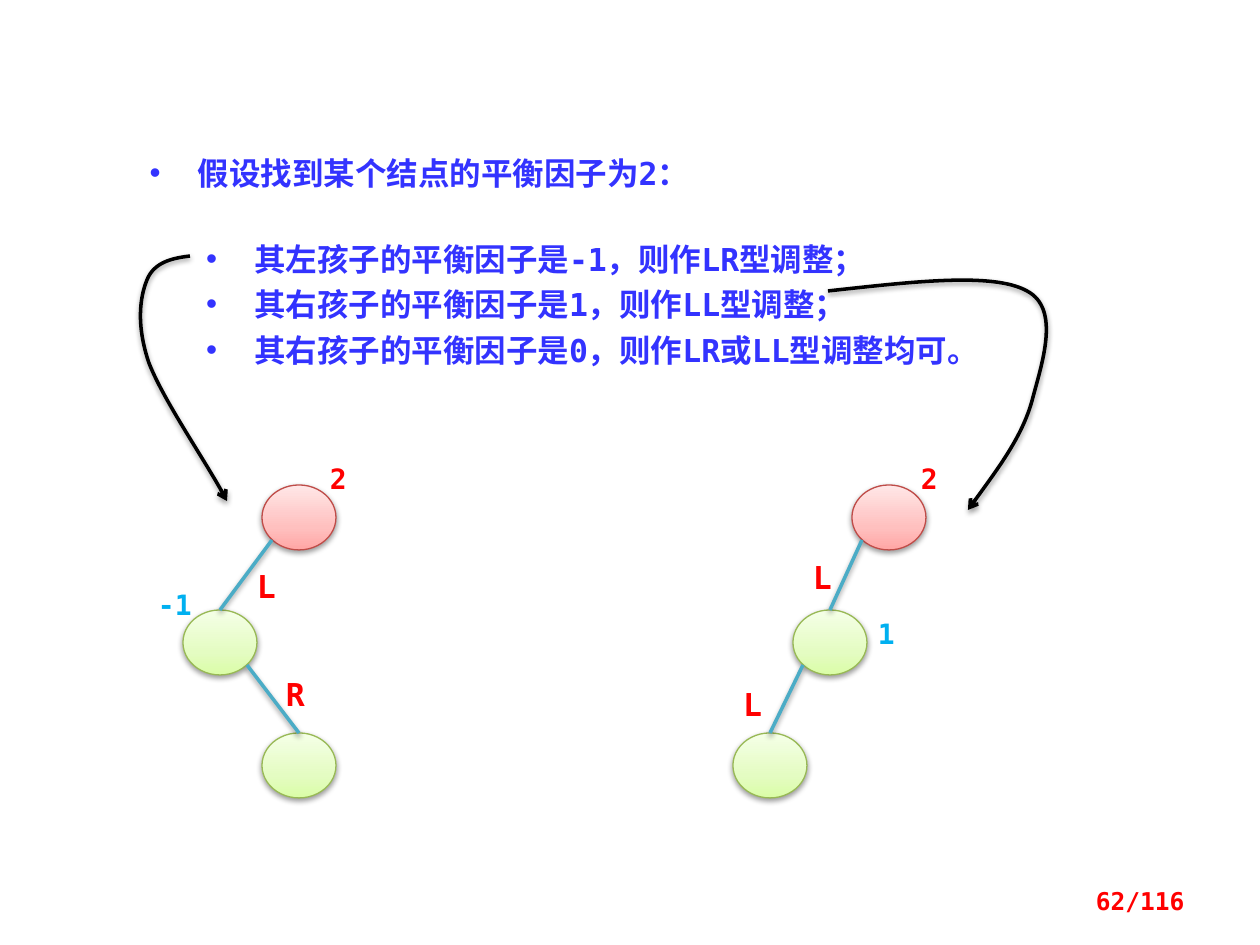
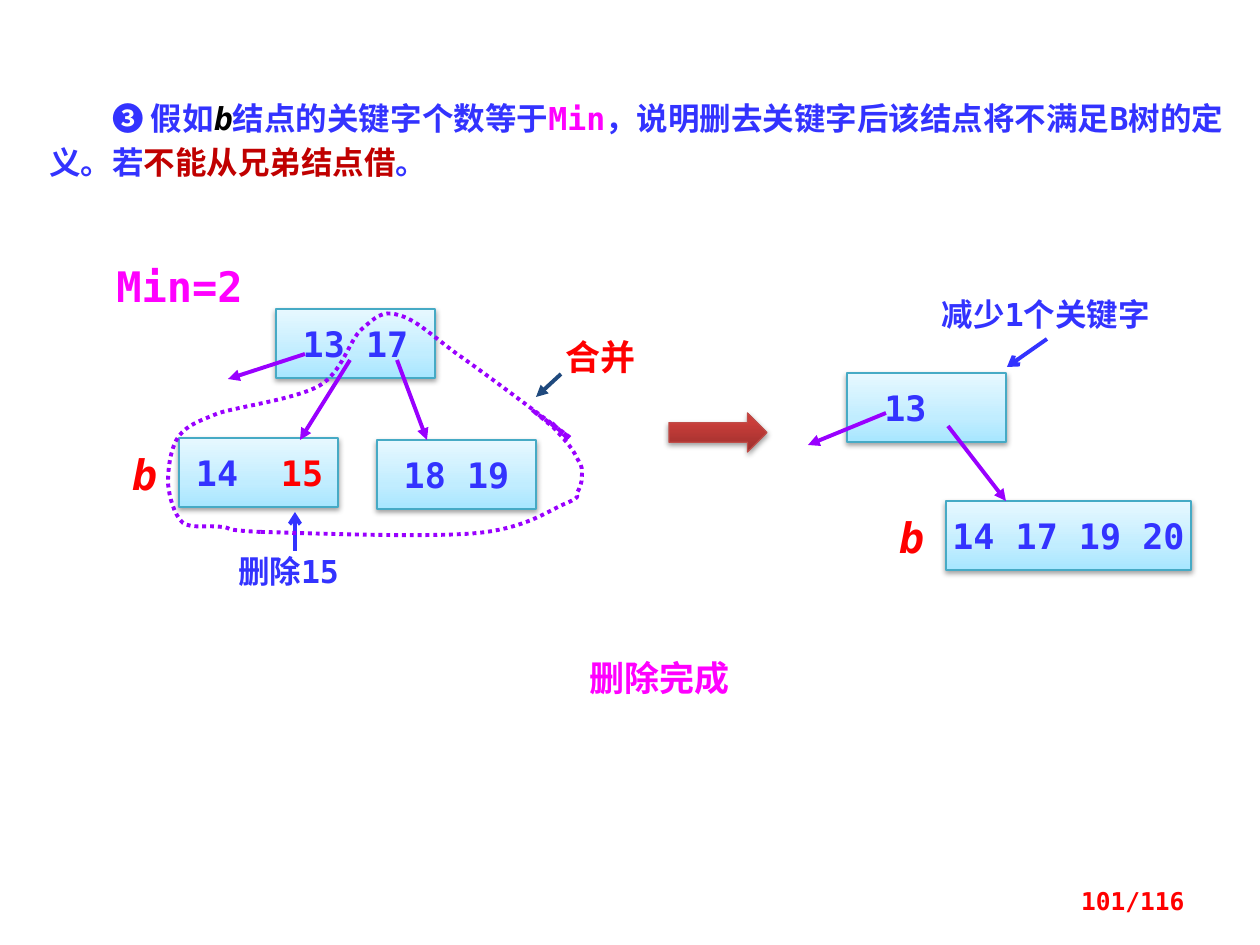
"""Build two slides on AVL rotations and on merging B-tree nodes."""
from copy import deepcopy
from itertools import pairwise

from lxml import etree
from pptx import Presentation
from pptx.dml.color import RGBColor
from pptx.enum.dml import MSO_LINE
from pptx.enum.shapes import MSO_CONNECTOR, MSO_SHAPE
from pptx.enum.text import MSO_ANCHOR, MSO_AUTO_SIZE, PP_ALIGN
from pptx.oxml.ns import qn
from pptx.util import Pt

SCALE = 914400 / 126
FONT = "DejaVu Sans Mono"
LEFT, CENTER, RIGHT, JUSTIFY = PP_ALIGN.LEFT, PP_ALIGN.CENTER, PP_ALIGN.RIGHT, PP_ALIGN.JUSTIFY
TOP, MIDDLE = MSO_ANCHOR.TOP, MSO_ANCHOR.MIDDLE
NO_AUTOFIT = MSO_AUTO_SIZE.NONE
STRAIGHT, DOTTED = MSO_CONNECTOR.STRAIGHT, MSO_LINE.ROUND_DOT
OVAL, RECTANGLE, RIGHT_ARROW = MSO_SHAPE.OVAL, MSO_SHAPE.RECTANGLE, MSO_SHAPE.RIGHT_ARROW

BLACK = RGBColor(0, 0, 0)
WHITE = RGBColor(0xFF, 0xFF, 0xFF)
BLUE = RGBColor(0x33, 0x33, 0xFF)
RED = RGBColor(0xFF, 0, 0)
DARK_RED = RGBColor(0xC0, 0, 0)
MAGENTA = RGBColor(0xFF, 0, 0xFF)
SKY = RGBColor(0, 0xB0, 0xF0)
TEAL = RGBColor(0x4B, 0xAC, 0xC6)
PURPLE = RGBColor(0x99, 0, 0xFF)
NAVY = RGBColor(0x1F, 0x49, 0x7D)

PINK_BLOCK = (RGBColor(0xBF, 0x4C, 0x48), [
    (0, RGBColor(0xFF, 0xA6, 0xA5)), (0.35, RGBColor(0xFF, 0xC0, 0xBF)), (1, RGBColor(0xFF, 0xE7, 0xE7))])
GREEN_BLOCK = (RGBColor(0x98, 0xB9, 0x55), [
    (0, RGBColor(0xDA, 0xFD, 0xA7)), (0.35, RGBColor(0xE4, 0xFC, 0xC2)), (1, RGBColor(0xF5, 0xFF, 0xE7))])
BLUE_BLOCK = (RGBColor(0x46, 0xAA, 0xC5), [
    (0, RGBColor(0xA7, 0xE6, 0xFF)), (0.35, RGBColor(0xC1, 0xED, 0xFF)), (1, RGBColor(0xE7, 0xF8, 0xFF))])
RED_BLOCK = (RGBColor(0xBF, 0x4C, 0x48), [
    (0, RGBColor(0x9C, 0x2F, 0x2D)), (0.8, RGBColor(0xCB, 0x3E, 0x3A)), (1, RGBColor(0xCE, 0x3B, 0x37))])


def px(*lengths):
    return [round(length * SCALE) for length in lengths]


def style_outline(shape, color, width, tail=None, shadow=False):
    shape.line.color.rgb = color
    shape.line.width = Pt(width)
    properties = shape._element.spPr
    if tail:
        etree.SubElement(properties.find(qn("a:ln")), qn("a:tailEnd"), type=tail)
    effects = etree.SubElement(properties, qn("a:effectLst"))
    if shadow:
        outer = etree.SubElement(effects, qn("a:outerShdw"), blurRad="40000", dist="20000",
                                 dir="5400000", rotWithShape="0")
        black = etree.SubElement(outer, qn("a:srgbClr"), val="000000")
        etree.SubElement(black, qn("a:alpha"), val="38000")


presentation = Presentation()
presentation.slide_width, presentation.slide_height = px(1260, 945)
rotation_slide = presentation.slides.add_slide(presentation.slide_layouts[1])
merge_slide = presentation.slides.add_slide(presentation.slide_layouts[5])
blocks = []
texts = []

heading = rotation_slide.shapes.title
cases = rotation_slide.placeholders[1]
explanation = merge_slide.shapes.title
for shape, box in [(heading, (137, 129, 1004, 63)), (cases, (186, 217, 827, 168)),
                   (explanation, (29, 78, 1207, 118))]:
    shape.left, shape.top, shape.width, shape.height = px(*box)
    frame = shape.text_frame
    frame.word_wrap = True
    frame.auto_size = NO_AUTOFIT
    frame.vertical_anchor = TOP
    if shape is not heading:
        shape.fill.solid()
        shape.fill.fore_color.rgb = WHITE
        frame.margin_left, frame.margin_top, frame.margin_right, frame.margin_bottom = px(20, 15, 13, 15)

heading.text_frame.text = "假设找到某个结点的平衡因子为2："
cases.text_frame.text = "\n".join([
    "其左孩子的平衡因子是-1，则作LR型调整；",
    "其右孩子的平衡因子是1，则作LL型调整；",
    "其右孩子的平衡因子是0，则作LR或LL型调整均可。"])
for shape, spacing in [(heading, 1.5), (cases, Pt(26))]:
    for paragraph in shape.text_frame.paragraphs:
        paragraph.alignment = LEFT
        paragraph.line_spacing = spacing
        paragraph.space_before = Pt(0)
        properties = paragraph._p.get_or_add_pPr()
        indent = px(48)[0]
        properties.set("marL", str(indent))
        properties.set("indent", str(-indent))
        etree.SubElement(properties, qn("a:buFont"), typeface="Arial")
        etree.SubElement(properties, qn("a:buChar"), char="•")
        texts.append((paragraph, 18, [BLUE]))

paragraph = explanation.text_frame.paragraphs[0]
paragraph.alignment = JUSTIFY
paragraph.line_spacing = Pt(25)
paragraph._p.get_or_add_pPr().set("indent", str(px(63)[0]))
phrases = [("❸ 假如", BLUE), ("b", BLACK), ("结点的关键字个数等于", BLUE), ("Min", MAGENTA),
           ("，说明删去关键字后该结点将不满足B树的定义。若", BLUE), ("不能从兄弟结点借", DARK_RED), ("。", BLUE)]
for phrase, color in phrases:
    paragraph.add_run().text = phrase
texts.append((paragraph, 18, [color for phrase, color in phrases]))

NODE_WIDTH, NODE_HEIGHT = 74, 65
for tree in [[(262, 485), (183, 610), (262, 733)], [(852, 485), (793, 610), (733, 733)]]:
    nodes = []
    for left, top in tree:
        node = rotation_slide.shapes.add_shape(OVAL, *px(left, top, NODE_WIDTH, NODE_HEIGHT))
        blocks.append((node, GREEN_BLOCK if nodes else PINK_BLOCK))
        nodes.append(node)
    for (parent, child), child_node in zip(pairwise(tree), nodes[1:]):
        corner = 10 if child[0] < parent[0] else NODE_WIDTH - 10
        edge = rotation_slide.shapes.add_connector(
            STRAIGHT, *px(parent[0] + corner, parent[1] + 55, child[0] + NODE_WIDTH // 2, child[1]))
        edge.end_connect(child_node, 0)
        style_outline(edge, TEAL, 2, shadow=True)

KEY_WIDTH, KEY_HEIGHT = 159, 69
for left, top, width, keys, colors, left_margin, right_margin in [
        (179, 438, KEY_WIDTH, "14\t15", [BLUE, BLUE, RED], 17, 0),
        (276, 309, KEY_WIDTH, "13 17", [BLUE], 0, 0),
        (377, 440, KEY_WIDTH, "18 19", [BLUE], 0, 0),
        (847, 373, KEY_WIDTH, "13", [BLUE], 0, 42),
        (946, 501, 245, "14 17 19 20", [BLUE], 0, 0)]:
    key_box = merge_slide.shapes.add_shape(RECTANGLE, *px(left, top, width, KEY_HEIGHT))
    blocks.append((key_box, BLUE_BLOCK))
    frame = key_box.text_frame
    frame.word_wrap = True
    frame.vertical_anchor = MIDDLE
    frame.margin_left, frame.margin_right = px(left_margin, right_margin)
    paragraph = frame.paragraphs[0]
    paragraph.alignment = CENTER
    if "\t" in keys:
        paragraph.alignment = LEFT
        tabs = etree.SubElement(paragraph._p.get_or_add_pPr(), qn("a:tabLst"))
        etree.SubElement(tabs, qn("a:tab"), pos=str(px(85)[0]), algn="l")
        for part in keys.partition("\t"):
            paragraph.add_run().text = part
    else:
        paragraph.text = keys
    texts.append((paragraph, 20, colors))
blocks.append((merge_slide.shapes.add_shape(RIGHT_ARROW, *px(669, 413, 98, 39)), RED_BLOCK))

for block, (line_color, stops) in blocks:
    block.fill.gradient()
    block.fill.gradient_angle = 90
    stop_list = block._element.spPr.find(".//" + qn("a:gsLst"))
    stop_list.append(deepcopy(stop_list[0]))
    for stop, (position, color) in zip(block.fill.gradient_stops, stops):
        stop.position = position
        stop.color.rgb = color
    style_outline(block, line_color, 0.75, shadow=True)

for ends, color, tail in [
        ((350, 360, 300, 440), PURPLE, "triangle"), ((397, 360, 427, 440), PURPLE, "triangle"),
        ((305, 354, 228, 379), PURPLE, "triangle"), ((561, 374, 536, 397), NAVY, "triangle"),
        ((948, 426, 1006, 501), PURPLE, "triangle"), ((886, 413, 808, 445), PURPLE, "triangle"),
        ((295, 551, 295, 512), BLUE, "arrow"), ((1047, 339, 1007, 367), BLUE, "arrow")]:
    pointer = merge_slide.shapes.add_connector(STRAIGHT, *px(*ends))
    style_outline(pointer, color, 2.25, tail)

left_curve = [(190, 256), (173, 258), (154, 262), (147, 280), (140, 297), (136, 325), (149, 363),
              (163, 399), (209, 466), (227, 501)]
right_curve = [(828, 291), (911, 282), (993, 272), (1027, 291), (1061, 309), (1042, 363), (1032, 401),
               (1022, 437), (994, 474), (968, 510)]
merge_outline = [
    (261, 532), (304, 533), (427, 538), (478, 533), (528, 528), (551, 509), (567, 503),
    (583, 496), (575, 496), (577, 493), (580, 488), (582, 483), (582, 476),
    (582, 471), (583, 467), (578, 460), (573, 451), (575, 451), (554, 428),
    (536, 406), (572, 442), (568, 440), (564, 436), (532, 410), (532, 410),
    (532, 410), (581, 446), (568, 436), (556, 427), (486, 374), (457, 354),
    (430, 334), (415, 319), (398, 315), (382, 310), (375, 318), (362, 329),
    (349, 340), (343, 372), (319, 386), (295, 399), (243, 406), (219, 413),
    (197, 422), (188, 425), (179, 436), (171, 447), (168, 467), (168, 483),
    (169, 496), (174, 515), (183, 523), (192, 529), (208, 525), (222, 527),
    (234, 528), (218, 530), (261, 532)]
for slide, points in [(rotation_slide, left_curve), (rotation_slide, right_curve),
                      (merge_slide, merge_outline)]:
    closed = points[0] == points[-1]
    builder = slide.shapes.build_freeform(*points[0], scale=SCALE)
    builder.add_line_segments(points[1:], close=closed)
    curve = builder.convert_to_shape()
    segments = list(curve._element.iter(qn("a:lnTo")))
    for first in range(0, len(segments), 3):
        bezier = etree.Element(qn("a:cubicBezTo"))
        segments[first].addprevious(bezier)
        for segment in segments[first:first + 3]:
            bezier.append(segment[0])
            segment.getparent().remove(segment)
    curve.fill.background()
    if closed:
        style_outline(curve, PURPLE, 2.25)
        curve.line.dash_style = DOTTED
    else:
        style_outline(curve, BLACK, 2, "arrow", shadow=True)

for slide, box, label, size, color, alignment, has_margins in [
        (rotation_slide, (330, 462, 45, 42), "2", 16, RED, LEFT, False),
        (rotation_slide, (158, 588, 45, 42), "-1", 16, SKY, LEFT, False),
        (rotation_slide, (242, 561, 49, 50), "L", 18, RED, CENTER, True),
        (rotation_slide, (271, 669, 49, 50), "R", 18, RED, CENTER, True),
        (rotation_slide, (921, 462, 45, 42), "2", 16, RED, LEFT, False),
        (rotation_slide, (878, 617, 45, 42), "1", 16, SKY, LEFT, False),
        (rotation_slide, (798, 552, 49, 50), "L", 18, RED, CENTER, True),
        (rotation_slide, (728, 679, 49, 50), "L", 18, RED, CENTER, True),
        (rotation_slide, (903, 880, 294, 42), "62/116", 14, RED, RIGHT, True),
        (merge_slide, (100, 449, 89, 50), "b", 24, RED, CENTER, False),
        (merge_slide, (867, 512, 89, 50), "b", 24, RED, CENTER, False),
        (merge_slide, (100, 261, 159, 50), "Min=2", 24, MAGENTA, CENTER, False),
        (merge_slide, (546, 335, 110, 42), "合并", 20, RED, CENTER, False),
        (merge_slide, (204, 552, 169, 38), "删除15", 18, BLUE, CENTER, False),
        (merge_slide, (908, 289, 276, 50), "减少1个关键字", 18, BLUE, CENTER, True),
        (merge_slide, (522, 650, 276, 55), "删除完成", 20, MAGENTA, CENTER, True),
        (merge_slide, (903, 880, 294, 42), "101/116", 14, RED, RIGHT, True)]:
    frame = slide.shapes.add_textbox(*px(*box)).text_frame
    frame.word_wrap = True
    if not has_margins:
        frame.margin_left = frame.margin_top = frame.margin_right = frame.margin_bottom = 0
    frame.text = label
    frame.paragraphs[0].alignment = alignment
    texts.append((frame.paragraphs[0], size, [color]))

for paragraph, size, colors in texts:
    for run, color in zip(paragraph.runs, colors):
        run.font.name = FONT
        run.font.size = Pt(size)
        run.font.bold = True
        run.font.italic = run.text == "b"
        run.font.color.rgb = color

presentation.save("out.pptx")
